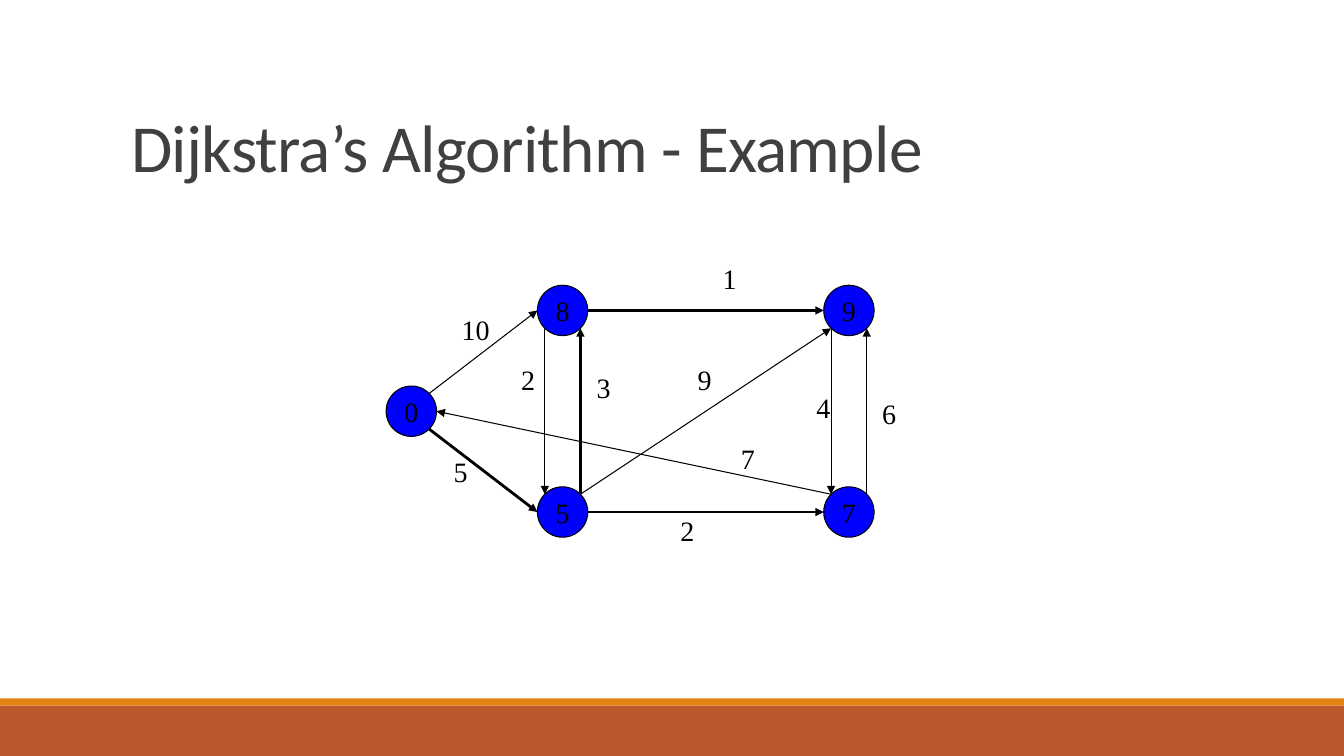
import math

import pptx
import pptx.dml.color
import pptx.enum.shapes
import pptx.enum.text
import pptx.oxml.ns
import pptx.util
from lxml import etree

Inches = pptx.util.Inches
Pt = pptx.util.Pt
SHAPES = pptx.enum.shapes.MSO_SHAPE
ANCHOR = pptx.enum.text.MSO_ANCHOR
ALIGN = pptx.enum.text.PP_ALIGN
FIT = pptx.enum.text.MSO_AUTO_SIZE

COLOURS = {"band": "BD582C", "stripe": "E48312", "title": "404040",
           "node": "0000FF", "ink": "000000"}
COLOURS = {name: pptx.dml.color.RGBColor.from_string(value)
           for name, value in COLOURS.items()}


def write(para, text, font, size, colour):
    span = para.add_run()
    span.text = text
    span.font.name = font
    span.font.size = Pt(size)
    span.font.color.rgb = COLOURS[colour]
    return span


def rim_point(node, side):
    """Return the point, in inches, where an edge meets a node's circle."""
    x, y = NODES[node][1:]
    angle = math.radians(SIDES[side])
    return x + RADIUS * math.cos(angle), y + RADIUS * math.sin(angle)


deck = pptx.Presentation()
deck.slide_width = Inches(13.33)
deck.slide_height = Inches(7.5)
page = deck.slides.add_slide(deck.slide_layouts[5])

# Footer bands
for colour, top, height in [("band", 7, 0.5), ("stripe", 6.93, 0.07)]:
    band = page.shapes.add_shape(SHAPES.RECTANGLE, 0, Inches(top),
                                 deck.slide_width, Inches(height))
    band.shadow.inherit = False
    band.fill.solid()
    band.fill.fore_color.rgb = COLOURS[colour]
    band.line.fill.background()

# Title
title = page.shapes.title
title.left, title.top = Inches(1.2), Inches(0.31)
title.width, title.height = Inches(11), Inches(1.59)
title.text_frame.auto_size = FIT.NONE
title.text_frame.vertical_anchor = ANCHOR.BOTTOM
para = title.text_frame.paragraphs[0]
para.alignment = ALIGN.LEFT
para.line_spacing = 0.85
span = write(para, "Dijkstra’s Algorithm - Example", "Calibri", 48, "title")
span.font._element.set("spc", "-50")

# Graph nodes: distance shown, centre x, centre y
RADIUS = 0.25
NODES = {
    "source": ("0", 4.08, 4.08),
    "bottom left": ("5", 5.58, 5.08),
    "top left": ("8", 5.58, 3.08),
    "bottom right": ("7", 8.42, 5.08),
    "top right": ("9", 8.42, 3.08),
}
SIDES = {"E": 0, "SE": 45, "SW": 135, "W": 180, "NW": 225, "NE": 315}

for distance, x, y in NODES.values():
    circle = page.shapes.add_shape(
        SHAPES.FLOWCHART_CONNECTOR, Inches(x - RADIUS), Inches(y - RADIUS),
        Inches(2 * RADIUS), Inches(2 * RADIUS))
    circle.shadow.inherit = False
    circle.fill.solid()
    circle.fill.fore_color.rgb = COLOURS["node"]
    circle.line.color.rgb = COLOURS["ink"]
    circle.line.width = Pt(0.75)
    circle.text_frame.word_wrap = False
    circle.text_frame.vertical_anchor = ANCHOR.MIDDLE
    para = circle.text_frame.paragraphs[0]
    para.alignment = ALIGN.CENTER
    write(para, distance, "Times New Roman", 20, "ink")

# Edges: from node and side, to node and side, line width,
# weight, left and top of its label
THIN, BOLD = 0.75, 2
EDGES = [
    ("source", "NE", "top left", "W", THIN, "10", 4.48, 3.05),
    ("top left", "E", "top right", "W", BOLD, "1", 7.07, 2.55),
    ("bottom left", "E", "bottom right", "W", BOLD, "2", 6.65, 5.05),
    ("source", "SE", "bottom left", "W", BOLD, "5", 4.4, 4.46),
    ("bottom left", "NE", "top right", "SW", THIN, "9", 6.82, 3.55),
    ("bottom right", "NW", "source", "E", THIN, "7", 7.25, 4.33),
    ("bottom left", "NE", "top left", "SE", BOLD, "3", 5.82, 3.63),
    ("top left", "SW", "bottom left", "NW", THIN, "2", 5.07, 3.55),
    ("top right", "SW", "bottom right", "NW", THIN, "4", 8, 3.83),
    ("bottom right", "NE", "top right", "SE", THIN, "6", 8.65, 3.88),
]

for start, start_side, end, end_side, width, weight, left, top in EDGES:
    ends = rim_point(start, start_side) + rim_point(end, end_side)
    arrow = page.shapes.add_connector(
        pptx.enum.shapes.MSO_CONNECTOR.STRAIGHT, *map(Inches, ends))
    arrow.line.color.rgb = COLOURS["ink"]
    arrow.line.width = Pt(width)
    etree.SubElement(arrow.line._get_or_add_ln(),
                     pptx.oxml.ns.qn("a:tailEnd"), type="triangle")
    etree.SubElement(arrow._element.spPr, pptx.oxml.ns.qn("a:effectLst"))

    label_width = 0.2 + 0.14 * len(weight)
    label = page.shapes.add_textbox(Inches(left), Inches(top),
                                    Inches(label_width), Inches(0.44))
    label.text_frame.word_wrap = False
    label.text_frame.auto_size = FIT.SHAPE_TO_FIT_TEXT
    write(label.text_frame.paragraphs[0], weight, "Times New Roman", 20, "ink")

deck.save("out.pptx")
